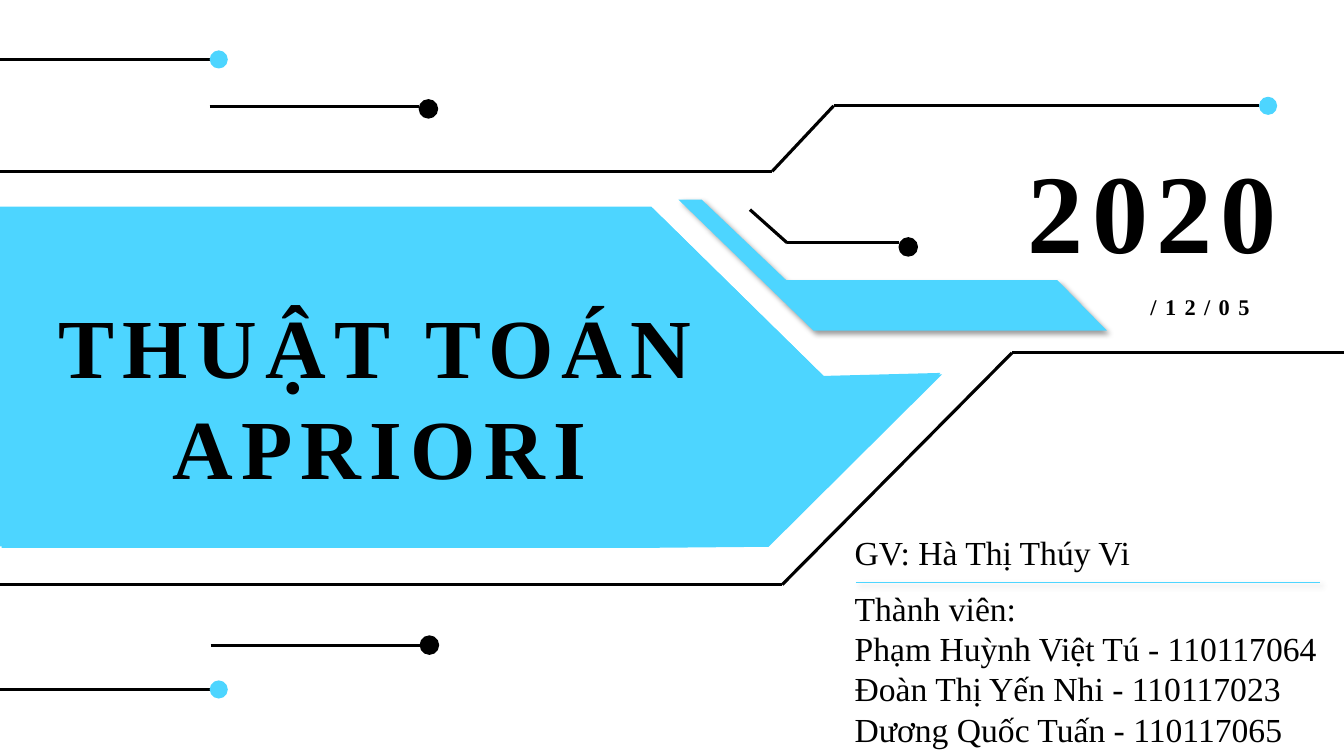
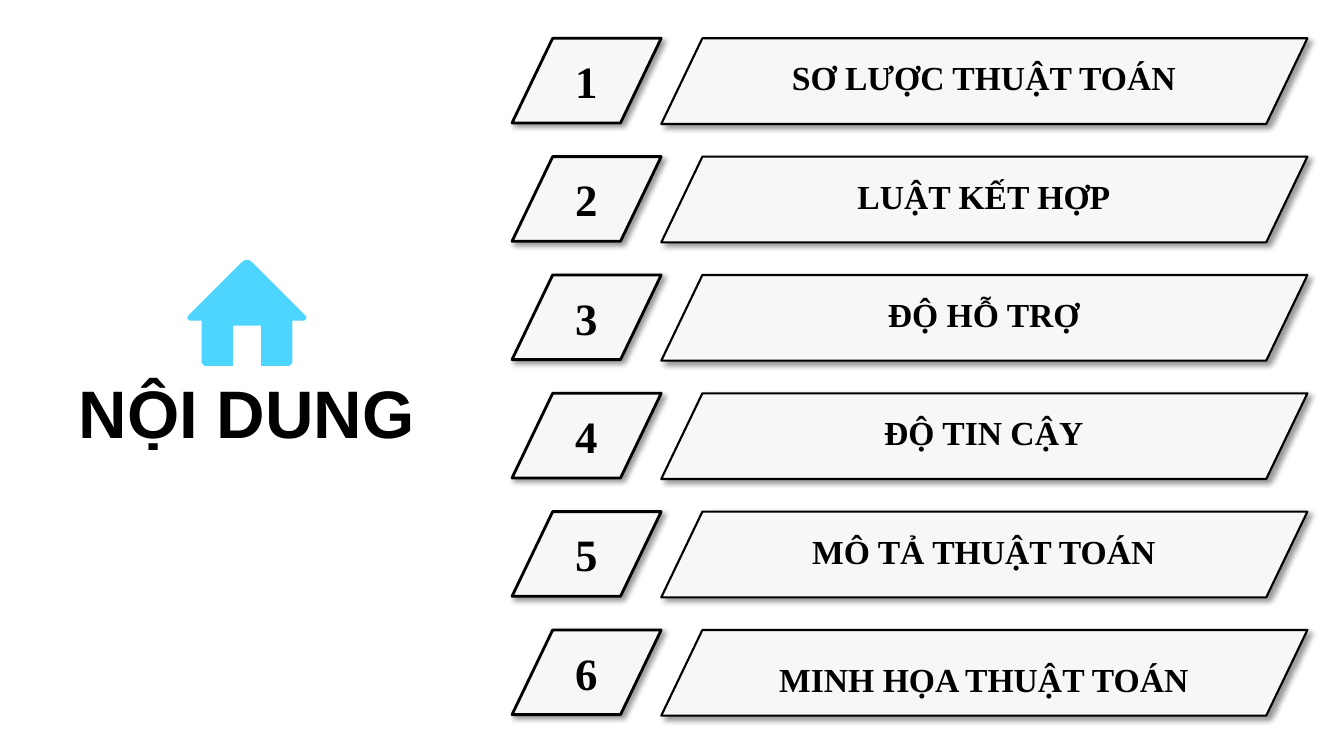
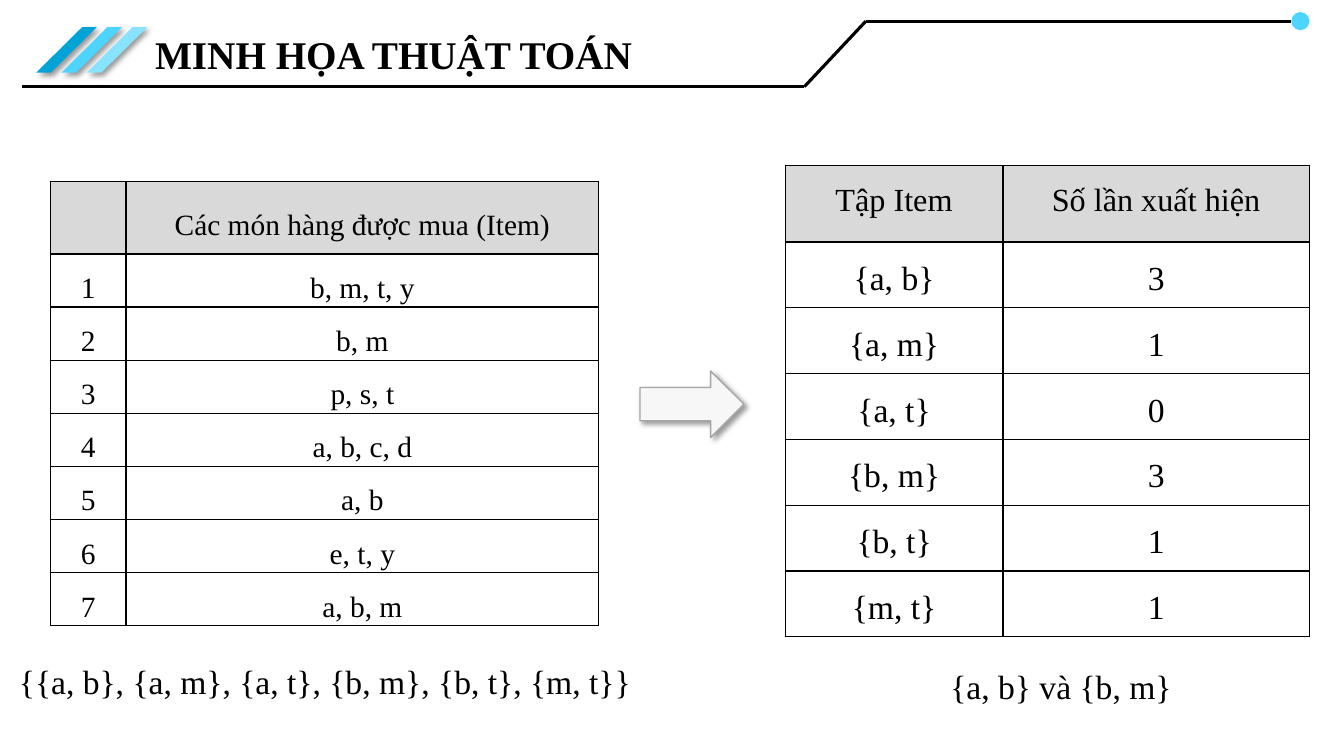
from itertools import pairwise

from lxml import etree
from pptx import Presentation
from pptx import util as u
from pptx.dml import color
from pptx.enum import shapes, text
from pptx.oxml import ns

COLUMNS, ROWS = 133.33, 75
COLORS = {
    "ink": "000000",
    "paper": "FFFFFF",
    "sky": "4DD5FF",
    "deep": "00A3D5",
    "pale": "88E3FF",
    "panel": "F7F7F7",
    "edge": "A6A6A6",
    "header": "D9D9D9",
}
SERIF, SANS = "Times New Roman", "Arial"
CENTER = text.PP_ALIGN.CENTER
LEFT = text.PP_ALIGN.LEFT
PRESET = shapes.MSO_SHAPE
DOT = 1.8


def child(parent, tag, **attributes):
    return etree.SubElement(parent, ns.qn(tag), **attributes)


class Deck:
    def __init__(self):
        self.presentation = Presentation()
        self.presentation.slide_width = u.Inches(13.33)
        self.presentation.slide_height = u.Inches(7.5)
        self.column = self.presentation.slide_width / COLUMNS
        self.row = self.presentation.slide_height / ROWS
        self.slide = None

    def add_slide(self):
        self.slide = self.presentation.slides.add_slide(self.presentation.slide_layouts[6])
        self.paint(self.slide.background, "paper")

    def place(self, *lengths):
        return [round(length * (self.row if index % 2 else self.column))
                for index, length in enumerate(lengths)]

    def rgb(self, name):
        return color.RGBColor.from_string(COLORS[name])

    def paint(self, target, name):
        target.fill.solid()
        target.fill.fore_color.rgb = self.rgb(name)

    def style_line(self, line, name, width):
        line.fill.solid()
        line.fill.fore_color.rgb = self.rgb(name)
        line.width = u.Pt(width)

    def set_effect(self, shape, shadow):
        effects = child(shape._element.spPr, "a:effectLst")
        if shadow:
            outer = child(effects, "a:outerShdw", blurRad=str(u.Pt(4)), dist=str(u.Pt(3)),
                          dir="2700000", algn="tl", rotWithShape="0")
            tone = child(outer, "a:srgbClr", val=COLORS["ink"])
            child(tone, "a:alpha", val="40000")

    def finish(self, shape, fill, line, shadow):
        self.paint(shape, fill)
        if line:
            self.style_line(shape.line, *line)
        else:
            shape.line.fill.background()
        self.set_effect(shape, shadow)
        return shape

    def shape(self, preset, area, fill, line=None, shadow=False, adjustment=None):
        shape = self.slide.shapes.add_shape(preset, *self.place(*area))
        if adjustment is not None:
            shape.adjustments[0] = adjustment
        return self.finish(shape, fill, line, shadow)

    def outline(self, points, fill, shadow=False):
        start, *others = [self.place(*point) for point in points]
        builder = self.slide.shapes.build_freeform(*start, scale=1.0)
        builder.add_line_segments(others, close=True)
        return self.finish(builder.convert_to_shape(), fill, None, shadow)

    def line(self, start, end, name="ink", width=2.25, shadow=False):
        connector = self.slide.shapes.add_connector(
            shapes.MSO_CONNECTOR.STRAIGHT, *self.place(*start, *end))
        self.style_line(connector.line, name, width)
        self.set_effect(connector, shadow)

    def trace(self, points, dot=None, drop=0):
        for start, end in pairwise(points):
            self.line(start, end)
        if dot:
            x, y = points[-1]
            self.shape(PRESET.OVAL, (x, y - DOT / 2 + drop, DOT, DOT), dot,
                       ("ink", 1) if dot == "ink" else None)

    def stepped_trace(self, left, top):
        self.trace([(left, top + 6.5), (left + 77.6, top + 6.5),
                    (left + 83.7, top), (left + 125.9, top)], "sky")

    def fill_text(self, frame, lines, size, bold=False, align=LEFT, font=SERIF,
                  tracking=0, leading=None, before=None, after=None, indent=0):
        for index, line in enumerate(lines):
            paragraph = frame.add_paragraph() if index else frame.paragraphs[0]
            paragraph.alignment = align
            if leading:
                paragraph.line_spacing = leading
            if before:
                paragraph.space_before = u.Pt(before)
            if after:
                paragraph.space_after = u.Pt(after)
            if indent:
                paragraph._p.get_or_add_pPr().set("indent", str(u.Inches(indent)))
            run = paragraph.add_run()
            run.text = line
            run.font.size = u.Pt(size)
            run.font.name = font
            run.font.bold = bold
            run.font.color.rgb = self.rgb("ink")
            if tracking:
                run._r.get_or_add_rPr().set("spc", str(tracking * 100))

    def text(self, area, lines, size, wrap=True, **style):
        frame = self.slide.shapes.add_textbox(*self.place(*area)).text_frame
        frame.word_wrap = wrap
        frame.auto_size = text.MSO_AUTO_SIZE.SHAPE_TO_FIT_TEXT
        self.fill_text(frame, lines, size, **style)

    def border(self, cell):
        properties = cell._tc.get_or_add_tcPr()
        for side in ("a:lnL", "a:lnR", "a:lnT", "a:lnB"):
            edge = child(properties, side, w=str(u.Pt(1)))
            child(child(edge, "a:solidFill"), "a:srgbClr", val=COLORS["ink"])

    def table(self, corner, widths, heights, records, sizes, after=None, anchor=None):
        frame = self.slide.shapes.add_table(
            len(heights), len(widths), *self.place(*corner, sum(widths), sum(heights)))
        table = frame.table
        table.first_row = table.horz_banding = False
        for column, width in zip(table.columns, widths):
            column.width = round(width * self.column)
        for index, (height, record) in enumerate(zip(heights, records)):
            table.rows[index].height = round(height * self.row)
            for cell, value in zip(table.rows[index].cells, record):
                self.border(cell)
                self.paint(cell, "paper" if index else "header")
                if not value:
                    continue
                cell.margin_left = cell.margin_right = 0
                cell.margin_top = cell.margin_bottom = 0
                if anchor:
                    cell.vertical_anchor = anchor
                self.fill_text(cell.text_frame, [value], sizes[min(index, 1)], align=CENTER,
                               leading=1.5, before=6, after=after if index else None)


def build_cover(deck):
    deck.add_slide()
    deck.outline([(67.3, 19.8), (69.6, 19.8), (78, 27.8), (104.9, 27.8),
                  (109.8, 32.8), (80.7, 32.8)], "sky", shadow=True)
    deck.trace([(74.4, 20.8), (78.1, 24.1), (89.2, 24.1)], "ink", drop=0.4)
    deck.text((96.9, 13.5, 34.9, 14.5), ["2020"], 80, bold=True, align=CENTER, tracking=6)
    deck.stepped_trace(-1, 10.5)
    for left, y, dot, drop in ((0, 5.9, "sky", 0), (20.8, 10.6, "ink", 0.2),
                               (0, 68.4, "sky", 0), (20.9, 64, "ink", 0)):
        deck.trace([(left, y), (left + 20.8, y)], dot, drop)
    deck.text((101.6, 28.6, 34.9, 3.7), ["/12/05"], 16, bold=True, align=CENTER, tracking=6)
    for shift in (0, 0.15):
        banner = [(0, 20.5), (64.6, 20.5), (81.7, 37.3), (93.3, 37),
                  (76.1, 54.1), (64.6, 54.2), (0, 54.2)]
        deck.outline([(x + shift, y + shift) for x, y in banner], "sky")
    deck.trace([(0, 58), (77.6, 58), (100.4, 35), (133.3, 35)])
    deck.text((-1.5, 28.7, 78.3, 21.2), ["THUẬT TOÁN APRIORI"], 60,
              bold=True, align=CENTER, tracking=6)
    deck.text((83.8, 57.8, 48.1, 17.2),
              ["Thành viên:", "Phạm Huỳnh Việt Tú - 110117064",
               "Đoàn Thị Yến Nhi - 110117023", "Dương Quốc Tuấn - 110117065"], 24)
    deck.text((83.8, 52.3, 48.1, 5), ["GV: Hà Thị Thúy Vi"], 24)
    deck.line((84.9, 57.8), (130.9, 57.8), "sky", 0.5, shadow=True)


def build_agenda(deck):
    deck.add_slide()
    topics = ["SƠ LƯỢC THUẬT TOÁN", "LUẬT KẾT HỢP", "ĐỘ HỖ TRỢ",
              "ĐỘ TIN CẬY", "MÔ TẢ THUẬT TOÁN", "MINH HỌA THUẬT TOÁN"]
    for index, topic in enumerate(topics):
        top = 3.8 + 11.74 * index
        label_drop = 2.4 if topic == topics[-1] else 1.4
        deck.shape(PRESET.PARALLELOGRAM, (65.6, top, 64.1, 8.5), "panel",
                   ("ink", 1.5), True, 0.48)
        deck.text((59.1, top + label_drop, 77, 5), [topic], 24, bold=True, align=CENTER)
        badge = deck.shape(PRESET.PARALLELOGRAM, (50.8, top, 14.8, 8.4), "panel",
                           ("ink", 2), True, 0.48)
        badge.text_frame.vertical_anchor = text.MSO_ANCHOR.MIDDLE
        deck.fill_text(badge.text_frame, [str(index + 1)], 32, bold=True, align=CENTER)
    deck.text((4.7, 36.3, 39.6, 9.1), ["NỘI DUNG"], 48, bold=True, align=CENTER, font=SANS)
    half = [(0.2, 0), (0.5, 0.2), (5.8, 5.5), (5.9, 5.7), (5.9, 5.8), (5.7, 6),
            (4.5, 6), (4.5, 10.2), (4.2, 10.5), (1.4, 10.5), (1.4, 6.5)]
    house = half + [(-x, y) for x, y in reversed(half)]
    deck.outline([(24.5 + x, 25.8 + y) for x, y in house], "sky")


def build_example(deck):
    deck.add_slide()
    for index, name in enumerate(("deep", "sky", "pale")):
        deck.shape(PRESET.PARALLELOGRAM, (3.6 + 2.5 * index, 2.7, 6, 4.5), name,
                   shadow=True, adjustment=1.01)
    deck.stepped_trace(2.2, 2.1)
    deck.text((14.4, 2.5, 51.9, 5.7), ["MINH HỌA THUẬT TOÁN"], 28, bold=True)
    counts = [("Tập Item", "Số lần xuất hiện"), ("{a, b}", "3"), ("{a, m}", "1"),
              ("{a, t}", "0"), ("{b, m}", "3"), ("{b, t}", "1"), ("{m, t}", "1")]
    deck.table((77.9, 16.4), (21.6, 30.4), [7.6] + [6.53] * 6, counts, (23, 24), after=6)
    spaced = {"leading": 1.5, "before": 6, "after": 6}
    deck.text((-1.1, 63.1, 66.7, 6.3),
              ["{{a, b}, {a, m}, {a, t}, {b, m}, {b, t}, {m, t}}"], 24, align=CENTER, **spaced)
    deck.text((90.3, 63.6, 27.1, 7.1), ["{a, b} và {b, m}"], 24, wrap=False,
              align=text.PP_ALIGN.JUSTIFY, indent=0.3, **spaced)
    deck.shape(PRESET.RIGHT_ARROW, (63.5, 36.8, 10.3, 6.6), "panel", ("edge", 1), True)
    baskets = ["b, m, t, y", "b, m", "p, s, t", "a, b, c, d", "a, b", "e, t, y", "a, b, m"]
    purchases = [("", "Các món hàng được mua (Item)")]
    purchases += [(str(number), basket) for number, basket in enumerate(baskets, 1)]
    deck.table((5, 18), (7.5, 46.9), [7.2] + [5.27] * 7, purchases, (21, 21),
               anchor=text.MSO_ANCHOR.MIDDLE)


deck = Deck()
build_cover(deck)
build_agenda(deck)
build_example(deck)
deck.presentation.save("out.pptx")
